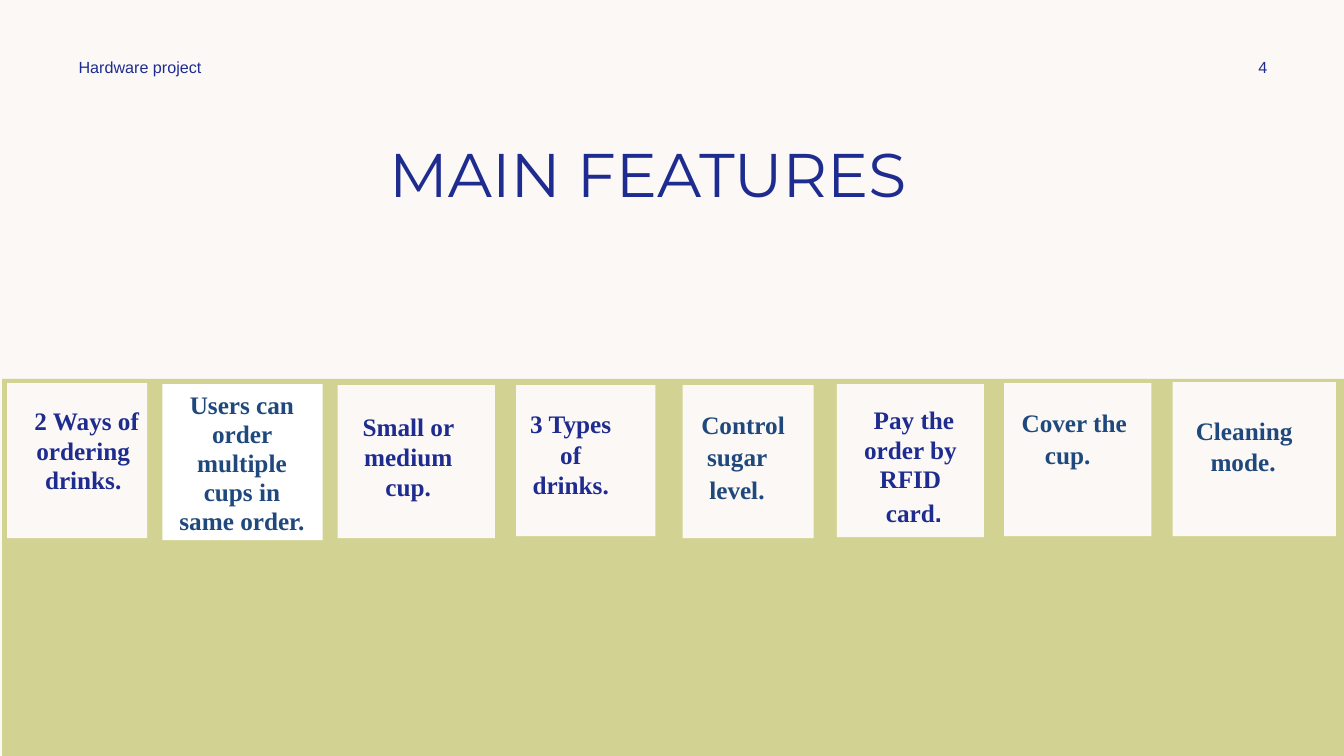
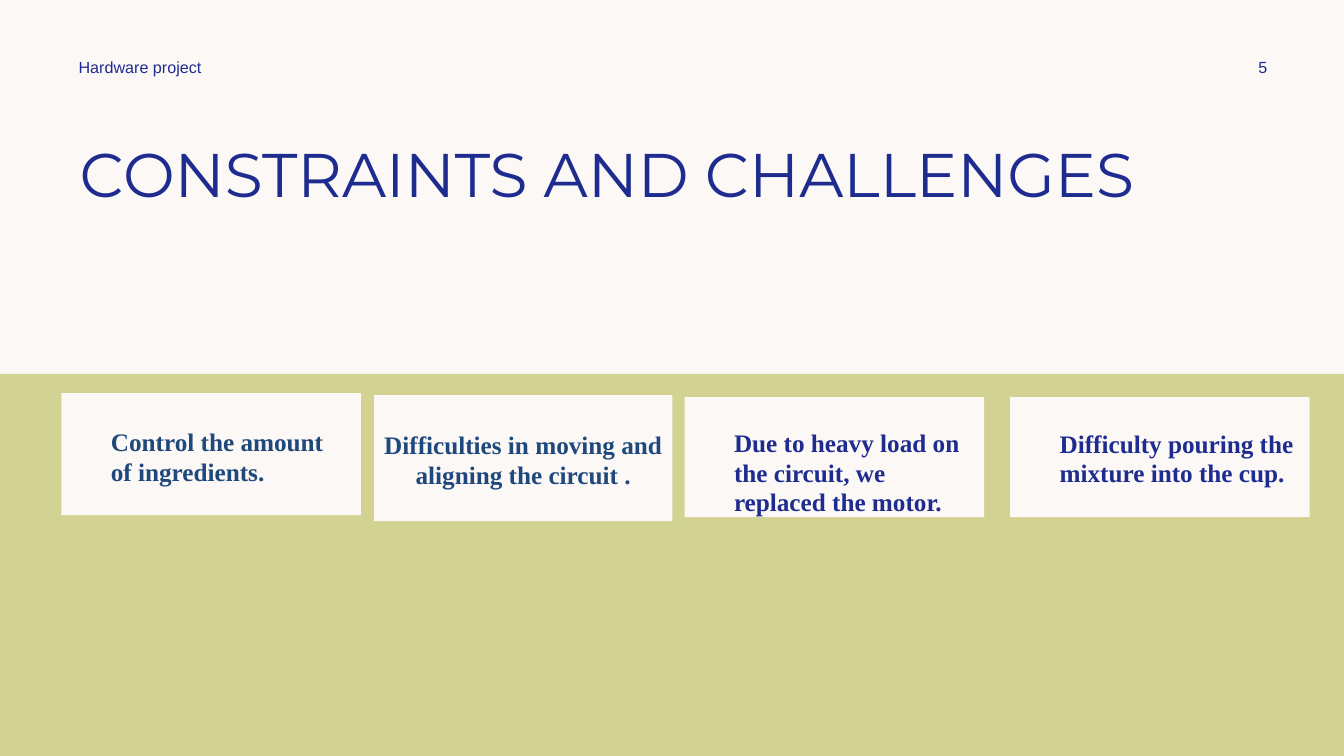
from dataclasses import dataclass

from pptx import Presentation
from pptx.dml.color import RGBColor as Rgb
from pptx.enum.shapes import MSO_SHAPE as Shape
from pptx.enum.text import MSO_ANCHOR as Anchor, PP_ALIGN as Align
from pptx.util import Inches, Pt

COLOURS = {
    "cream": "FBF8F6",
    "white": "FFFFFF",
    "olive": "D2D392",
    "navy": "1F2C8F",
    "steel": "1F487C",
}
SLIDE_WIDTH, SLIDE_HEIGHT = 13.33, 7.5
HEADING_FONT, LABEL_FONT, CARD_FONT = "Montserrat", "Arial", "Times New Roman"


@dataclass
class Card:
    """A panel: box and insets in inches, insets as left, top, right."""
    box: tuple
    insets: tuple
    lines: list
    colour: str = "navy"
    fill: str = "cream"
    align: Align = Align.CENTER
    spacing: object = 1.0
    first_indent: float = 0


FEATURES = [
    Card((0.07, 3.8, 1.39, 1.54), (0.12, 0.23, 0), ["2 Ways of ordering drinks."],
         spacing=0.99, first_indent=0.07),
    Card((1.61, 3.81, 1.59, 1.55), (0.13, 0.07, 0.14),
         ["Users can order multiple cups in same order."],
         colour="steel", fill="white", spacing=0.96),
    Card((3.35, 3.82, 1.56, 1.52), (0.1, 0.27, 0.26), ["Small or medium cup."],
         spacing=0.99),
    Card((5.12, 3.82, 1.38, 1.5), (0.07, 0.23, 0.37), ["3 Types of drinks."],
         spacing=1.01),
    Card((6.77, 3.82, 1.3, 1.52), (0.01, 0.22, 0.23), ["Control sugar level."],
         colour="steel", spacing=1.07, first_indent=0.12),
    Card((8.3, 3.81, 1.46, 1.52), (0.13, 0.21, 0.13),
         ["Pay the order by RFID", [("card", CARD_FONT), (".", LABEL_FONT)]],
         spacing=0.99, first_indent=0.07),
    Card((9.96, 3.8, 1.46, 1.52), (0, 0.23, 0.2), ["Cover the cup."],
         colour="steel", spacing=Pt(22.7), first_indent=0.13),
    Card((11.63, 3.79, 1.62, 1.53), (0.1, 0.32, 0.32), ["Cleaning mode."],
         colour="steel", spacing=1.03, first_indent=0.02),
]

CHALLENGES = [
    Card((0.61, 3.9, 2.97, 1.21), (0.49, 0.33, 0.25),
         ["Control the amount of ingredients."], colour="steel", align=Align.LEFT),
    Card((3.71, 3.92, 2.96, 1.25), (0, 0.34, 0),
         ["Difficulties in moving and aligning the circuit ."], colour="steel"),
    Card((6.79, 3.94, 2.97, 1.19), (0.49, 0.32, 0.15),
         ["Due to heavy load on the circuit, we replaced the motor."],
         align=Align.LEFT, spacing=0.97),
    Card((10.02, 3.94, 2.97, 1.19), (0.49, 0.32, 0.05),
         ["Difficulty pouring the mixture into the cup."],
         align=Align.LEFT, spacing=0.98),
]


def colour_of(name):
    return Rgb.from_string(COLOURS[name])


def add_span(para, text, font, size, colour, bold=False):
    span = para.add_run()
    span.text = text
    span.font.name = font
    span.font.size = Pt(size)
    span.font.bold = bold
    span.font.color.rgb = colour_of(colour)


def set_frame(frame, left=0, top=0, right=0):
    frame.word_wrap = True
    frame.vertical_anchor = Anchor.TOP
    frame.margin_left, frame.margin_top = Inches(left), Inches(top)
    frame.margin_right, frame.margin_bottom = Inches(right), 0


def add_panel(page, box, fill):
    panel = page.shapes.add_shape(Shape.RECTANGLE, *map(Inches, box))
    panel.shadow.inherit = False
    panel.fill.solid()
    panel.fill.fore_color.rgb = colour_of(fill)
    panel.line.fill.background()
    return panel


def add_label(page, box, text, font, size, align=Align.LEFT):
    frame = page.shapes.add_textbox(*map(Inches, box)).text_frame
    set_frame(frame)
    para = frame.paragraphs[0]
    para.alignment = align
    add_span(para, text, font, size, "navy")


def add_card(page, card):
    frame = add_panel(page, card.box, card.fill).text_frame
    set_frame(frame, *card.insets)
    for index, line in enumerate(card.lines):
        para = frame.add_paragraph() if index else frame.paragraphs[0]
        para.alignment = card.align
        para.line_spacing = card.spacing
        if index:
            para.space_before = Pt(2.5)
        if card.first_indent:
            para._p.get_or_add_pPr().set("indent", str(Inches(card.first_indent)))
        spans = [(line, CARD_FONT)] if isinstance(line, str) else line
        for text, font in spans:
            add_span(para, text, font, 18, card.colour, bold=True)


def add_header(page, number):
    add_label(page, (0.78, 0.57, 2, 0.2), "Hardware project", LABEL_FONT, 11.5)
    add_label(page, (12.07, 0.57, 0.5, 0.2), str(number), LABEL_FONT, 11.5, Align.RIGHT)


def add_card_page(deck, number, title, title_left, band_corner, cards):
    page = deck.slides.add_slide(deck.slide_layouts[6])
    page.background.fill.solid()
    page.background.fill.fore_color.rgb = colour_of("cream")
    # Lower band, running to the slide's right and bottom edges
    left, top = band_corner
    add_panel(page, (left, top, SLIDE_WIDTH - left, SLIDE_HEIGHT - top), "olive")
    # Header and title
    add_header(page, number)
    add_label(page, (title_left, 1.35, 12.23 - title_left, 0.8), title, HEADING_FONT, 44)
    # Cards
    for card in cards:
        add_card(page, card)


def main():
    deck = Presentation()
    deck.slide_width, deck.slide_height = Inches(SLIDE_WIDTH), Inches(SLIDE_HEIGHT)
    add_card_page(deck, 4, "MAIN FEATURES", 3.86, (0.02, 3.76), FEATURES)
    add_card_page(deck, 5, "CONSTRAINTS AND CHALLENGES", 0.79, (0, 3.71), CHALLENGES)
    deck.save("out.pptx")


if __name__ == "__main__":
    main()
